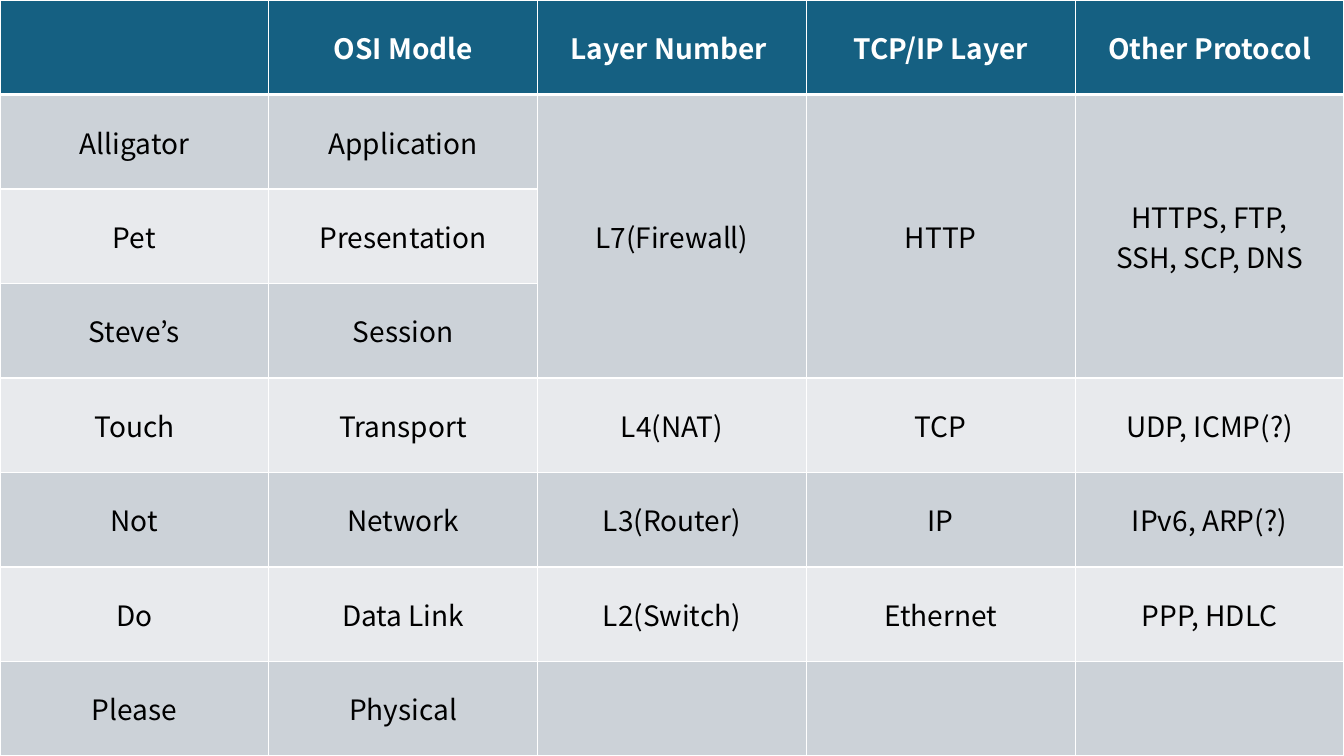
from dataclasses import dataclass

from lxml import etree
from pptx import Presentation, util as u
from pptx.dml.color import RGBColor
from pptx.enum import text as t
from pptx.oxml import ns


@dataclass(frozen=True)
class Theme:
    font: str = "Noto Sans CJK KR"
    size: int = 20
    head: str = "156082"
    bands: tuple = ("CCD2D8", "E8EAED")
    light: str = "FFFFFF"
    dark: str = "000000"
    thin: int = 1
    thick: int = 3


ROWS = [
    ["", "OSI Modle", "Layer Number ", "TCP/IP Layer", "Other Protocol"],
    ["Alligator", "Application", "L7(Firewall)", "HTTP", "HTTPS, FTP,\nSSH, SCP, DNS"],
    ["Pet", "Presentation", "", "", ""],
    ["Steve’s", "Session", "", "", ""],
    ["Touch", "Transport", "L4(NAT)", "TCP", "UDP, ICMP(?)"],
    ["Not", "Network", "L3(Router)", "IP", "IPv6, ARP(?)"],
    ["Do", "Data Link", "L2(Switch)", "Ethernet", "PPP, HDLC"],
    ["Please", "Physical", "", "", ""],
]
SPANS = [(1, col, 3, col) for col in (2, 3, 4)]


def write(frame, words, *, font, size, color, bold=False, align=t.PP_ALIGN.CENTER):
    frame.text = words
    for para in frame.paragraphs:
        para.alignment = align
        for run in para.runs:
            run.font.name = font
            run.font.size = u.Pt(size)
            run.font.bold = bold
            run.font.color.rgb = RGBColor.from_string(color)
            face = etree.SubElement(run.font._element, ns.qn("a:ea"))
            face.set("typeface", font)


class Deck:
    def __init__(self, theme):
        self.theme = theme
        self.show = Presentation()
        self.show.slide_width = u.Inches(13.33)
        self.show.slide_height = u.Inches(7.5)
        self.slide = self.show.slides.add_slide(self.show.slide_layouts[6])

    def border(self, cell, top, base):
        props = cell._tc.get_or_add_tcPr()
        thin = self.theme.thin
        sides = (("L", thin), ("R", thin), ("T", top), ("B", base))
        for place, (side, width) in enumerate(sides):
            line = etree.Element(ns.qn(f"a:ln{side}"), w=str(u.Pt(width)))
            fill = etree.SubElement(line, ns.qn("a:solidFill"))
            etree.SubElement(fill, ns.qn("a:srgbClr"), val=self.theme.light)
            props.insert(place, line)

    def cell(self, cell, words, row):
        look = self.theme
        head = row == 0
        cell.fill.solid()
        shade = look.head if head else look.bands[(row - 1) % 2]
        cell.fill.fore_color.rgb = RGBColor.from_string(shade)
        cell.vertical_anchor = t.MSO_ANCHOR.MIDDLE
        if words:
            write(cell.text_frame, words, font=look.font, size=look.size,
                  color=look.light if head else look.dark, bold=head)
        self.border(cell, look.thick if row == 1 else look.thin,
                    look.thick if head else look.thin)

    def table(self, rows, spans, left=0, top=0, width=1, height=1):
        wide, high = self.show.slide_width, self.show.slide_height
        grid = self.slide.shapes.add_table(
            len(rows), len(rows[0]), int(wide * left), int(high * top),
            int(wide * width), int(high * height)).table
        for row, line in enumerate(rows):
            for col, words in enumerate(line):
                self.cell(grid.cell(row, col), words, row)
        for top_row, first, end_row, last in spans:
            grid.cell(top_row, first).merge(grid.cell(end_row, last))


def main():
    deck = Deck(Theme())
    deck.table(ROWS, SPANS)
    deck.show.save("out.pptx")


if __name__ == "__main__":
    main()
